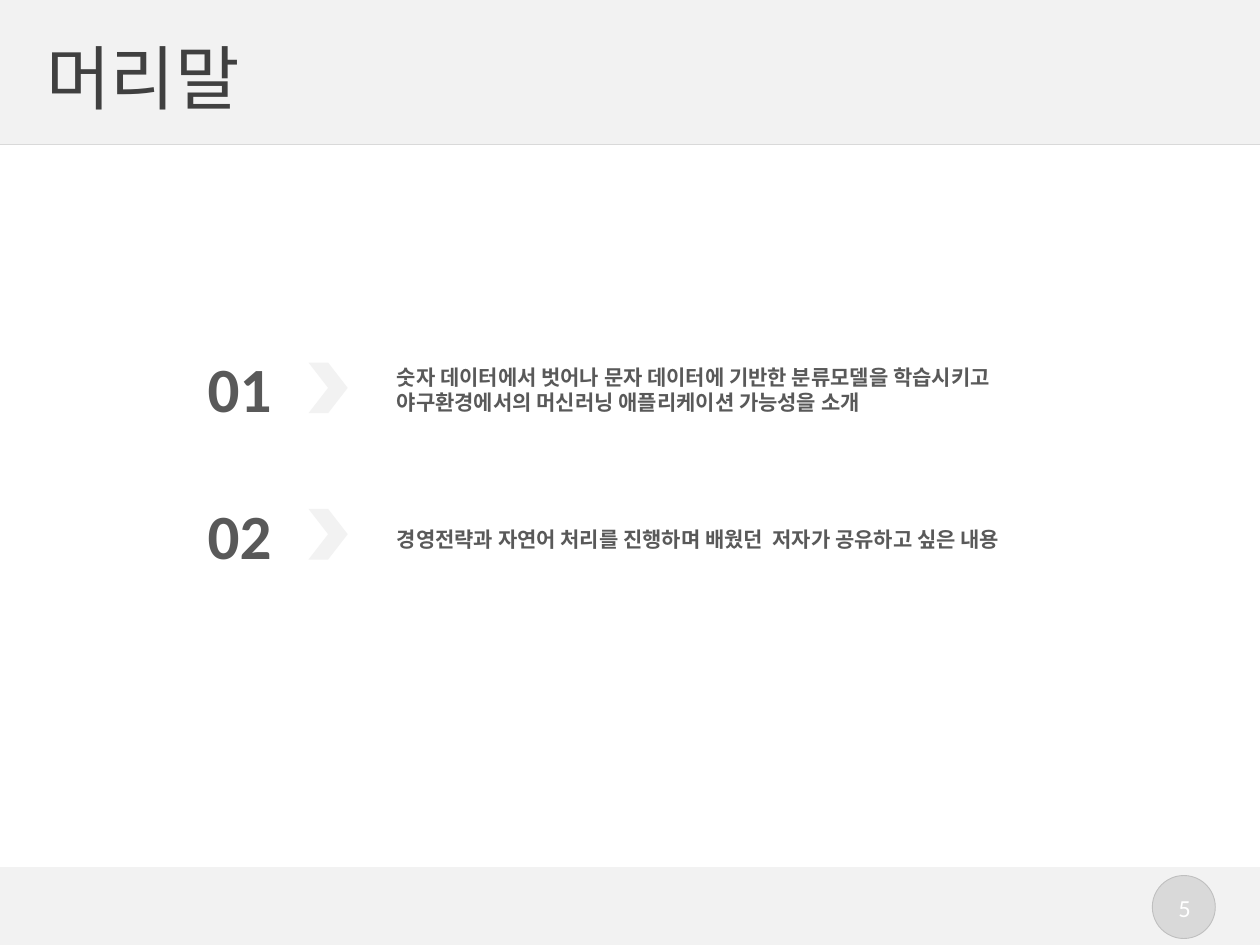
from pptx import Presentation
from pptx.dml.color import RGBColor
from pptx.enum.shapes import MSO_CONNECTOR, MSO_SHAPE
from pptx.enum.text import MSO_ANCHOR, MSO_AUTO_SIZE, PP_ALIGN
from pptx.oxml.ns import qn
from pptx.util import Cm, Pt
from lxml.etree import SubElement

WIDTH, HEIGHT = 25.4, 19.05
BAND, RULE, DARK = "F2F2F2", "D9D9D9", "595959"
POINTS = [
    ("01", "숫자 데이터에서 벗어나 문자 데이터에 기반한 분류모델을 학습시키고 "
           "야구환경에서의 머신러닝 애플리케이션 가능성을 소개", 13.59, 0.3, 1.27),
    ("02", "경영전략과 자연어 처리를 진행하며 배웠던  저자가 공유하고 싶은 내용",
     15.19, 0.61, 0.76),
]


def color(value):
    return RGBColor.from_string(value)


def add_shape(slide, kind, box, fill, line=None):
    shape = slide.shapes.add_shape(kind, *map(Cm, box))
    shape.shadow.inherit = False
    shape.fill.solid()
    shape.fill.fore_color.rgb = color(fill)
    if line:
        shape.line.color.rgb = color(line)
        shape.line.width = Pt(0.5)
    else:
        shape.line.fill.background()
    return shape


def write(shape, text, size, text_color, bold=False, align=PP_ALIGN.LEFT):
    paragraph = shape.text_frame.paragraphs[0]
    paragraph.text = text
    paragraph.alignment = align
    font_format = {"name": "Calibri", "size": Pt(size), "bold": bold}
    for name, value in font_format.items():
        setattr(paragraph.font, name, value)
    paragraph.font.color.rgb = color(text_color)


def add_text(slide, box, text, size, text_color, wrap=True, **style):
    shape = slide.shapes.add_textbox(*map(Cm, box))
    shape.text_frame.word_wrap = wrap
    write(shape, text, size, text_color, **style)


def add_header(slide, left, top, width, height, text):
    add_shape(slide, MSO_SHAPE.RECTANGLE, (left, top, width, height), BAND)
    # Rule under the band
    bottom = top + height
    rule = slide.shapes.add_connector(
        MSO_CONNECTOR.STRAIGHT, Cm(left), Cm(bottom), Cm(left + width), Cm(bottom))
    rule.line.color.rgb = color(RULE)
    rule.line.width = Pt(0.75)
    SubElement(rule._element.spPr, qn("a:effectLst"))
    # Title, raised above the band
    title = slide.shapes.title
    slide.shapes._spTree.append(title._element)
    place = {"left": left + 0.94, "top": top + 0.79, "width": 23.55, "height": 1.52}
    for name, value in place.items():
        setattr(title, name, Cm(value))
    frame_format = {"margin_left": 0, "margin_top": 0, "margin_right": 0,
                    "margin_bottom": 0, "vertical_anchor": MSO_ANCHOR.MIDDLE,
                    "auto_size": MSO_AUTO_SIZE.NONE, "word_wrap": True}
    for name, value in frame_format.items():
        setattr(title.text_frame, name, value)
    write(title, text, 40, "404040")


def add_footer(slide, left, top, width, height, number):
    add_shape(slide, MSO_SHAPE.RECTANGLE, (left, top, width, height), BAND)
    # Page number badge
    add_shape(slide, MSO_SHAPE.OVAL, (left + 23.23, top + 0.17, 1.27, 1.27),
              RULE, "BFBFBF")
    add_text(slide, (left + 23.32, top + 0.4, 1.12, 0.86), number, 14, "FFFFFF",
             wrap=False, align=PP_ALIGN.CENTER)


def add_point(slide, left, top, number, text, text_width, text_offset, text_height):
    add_text(slide, (left, top, 2.24, 1.8), number, 36, DARK,
             bold=True, align=PP_ALIGN.CENTER)
    add_shape(slide, MSO_SHAPE.CHEVRON, (left + 2.51, top + 0.38, 0.79, 1.02), BAND)
    add_text(slide, (left + 4.04, top + text_offset, text_width, text_height),
             text, 12, DARK, bold=True)


def main():
    presentation = Presentation()
    presentation.slide_width, presentation.slide_height = Cm(WIDTH), Cm(HEIGHT)
    slide = presentation.slides.add_slide(presentation.slide_layouts[5])
    add_footer(slide, 0, 17.48, WIDTH, 1.57, "5")
    add_header(slide, 0, 0, WIDTH, 2.92, "머리말")
    for index, point in enumerate(POINTS):
        add_point(slide, 3.71, 6.93 + 2.95 * index, *point)
    presentation.save("out.pptx")


if __name__ == "__main__":
    main()
